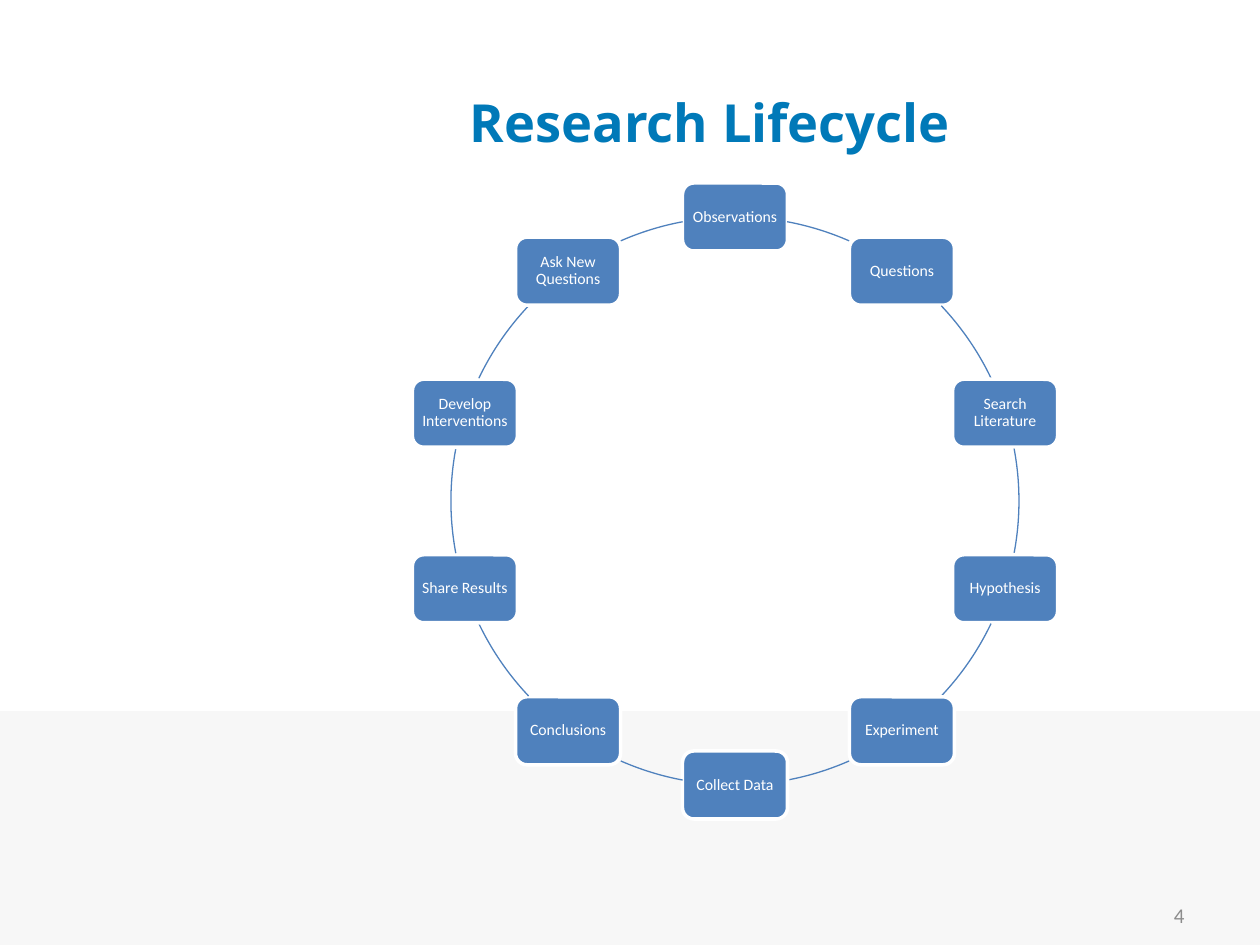
import math

from pptx import Presentation
from pptx.dml.color import RGBColor
from pptx.enum.shapes import MSO_SHAPE
from pptx.enum.text import MSO_ANCHOR, PP_ALIGN
from pptx.util import Pt

RECTANGLE = MSO_SHAPE.RECTANGLE
ROUNDED = MSO_SHAPE.ROUNDED_RECTANGLE
ARC = MSO_SHAPE.ARC
MIDDLE = MSO_ANCHOR.MIDDLE
CENTER = PP_ALIGN.CENTER
RIGHT = PP_ALIGN.RIGHT

EMU_PER_PX = 914400 / 126
BLUE, WHITE, TITLE_BLUE = "4F81BD", "FFFFFF", "0079B8"
PALE_GRAY, NUMBER_GRAY = "F7F7F7", "8C8C8C"

STAGES = [
    "Observations", "Questions", "Search Literature", "Hypothesis",
    "Experiment", "Collect Data", "Conclusions", "Share Results",
    "Develop Interventions", "Ask New Questions",
]
# Visible arc after each stage, in degrees clockwise from the top;
# the second half of the ring repeats the first, turned by 180 degrees
ARC_SPANS = [(10.6, 23.7), (46.6, 64.4), (79.4, 100.6),
             (115.6, 133.4), (156.3, 169.4)]
CENTER_X, CENTER_Y, RADIUS = 735, 501, 284
BOX_WIDTH, BOX_HEIGHT = 105, 68


def px(length):
    return round(length * EMU_PER_PX)


def color(value):
    return RGBColor.from_string(value)


class SlideBuilder:
    def __init__(self, slide, font="Calibri"):
        self.slide = slide
        self.font = font

    def shape(self, kind, left, top, width, height, fill=None, line=None, weight=1):
        shape = self.slide.shapes.add_shape(
            kind, px(left), px(top), px(width), px(height))
        shape.shadow.inherit = False
        if fill:
            shape.fill.solid()
            shape.fill.fore_color.rgb = color(fill)
        else:
            shape.fill.background()
        if line:
            shape.line.color.rgb = color(line)
            shape.line.width = Pt(weight)
        else:
            shape.line.fill.background()
        return shape

    def label(self, shape, text, size, text_color, align, font=None, bold=False):
        frame = shape.text_frame
        frame.word_wrap = True
        frame.vertical_anchor = MIDDLE
        frame.text = text
        paragraph = frame.paragraphs[0]
        paragraph.alignment = align
        for run in paragraph.runs:
            run.font.name = font or self.font
            run.font.size = Pt(size)
            run.font.bold = bold
            run.font.color.rgb = color(text_color)
        return paragraph

    def text(self, left, top, width, height, *style, **options):
        box = self.slide.shapes.add_textbox(px(left), px(top), px(width), px(height))
        self.label(box, *style, **options)

    def stage(self, center_x, center_y, name):
        box = self.shape(ROUNDED, center_x - BOX_WIDTH / 2, center_y - BOX_HEIGHT / 2,
                         BOX_WIDTH, BOX_HEIGHT, BLUE, WHITE, 2)
        frame = box.text_frame
        frame.margin_left = frame.margin_right = px(5)
        frame.margin_top = frame.margin_bottom = px(5)
        self.label(box, name, 9, WHITE, CENTER).line_spacing = 0.9

    def arc(self, start, end):
        arc = self.shape(ARC, CENTER_X - RADIUS, CENTER_Y - RADIUS,
                         2 * RADIUS, 2 * RADIUS, line=BLUE, weight=0.75)
        # Preset angles run clockwise from the right, in 1/60000 degree
        for index, angle in enumerate((start, end)):
            arc.adjustments[index] = (angle - 90) % 360 * 0.6


def main():
    presentation = Presentation()
    presentation.slide_width = px(1260)
    presentation.slide_height = px(945)
    slide = presentation.slides.add_slide(presentation.slide_layouts[6])
    builder = SlideBuilder(slide)

    # Footer band, title and slide number
    builder.shape(RECTANGLE, 0, 711, 1260, 234, PALE_GRAY)
    builder.text(223, 42, 974, 158, "Research Lifecycle", 30, TITLE_BLUE, CENTER,
                 font="Open Sans", bold=True)
    builder.text(903, 890, 294, 50, "4", 12, NUMBER_GRAY, RIGHT)

    # Ring of stages, clockwise from the top
    for index, name in enumerate(STAGES):
        angle = math.tau * index / len(STAGES)
        builder.stage(CENTER_X + RADIUS * math.sin(angle),
                      CENTER_Y - RADIUS * math.cos(angle), name)
        half, position = divmod(index, len(ARC_SPANS))
        start, end = ARC_SPANS[position]
        builder.arc(start + 180 * half, end + 180 * half)

    presentation.save("out.pptx")


if __name__ == "__main__":
    main()
